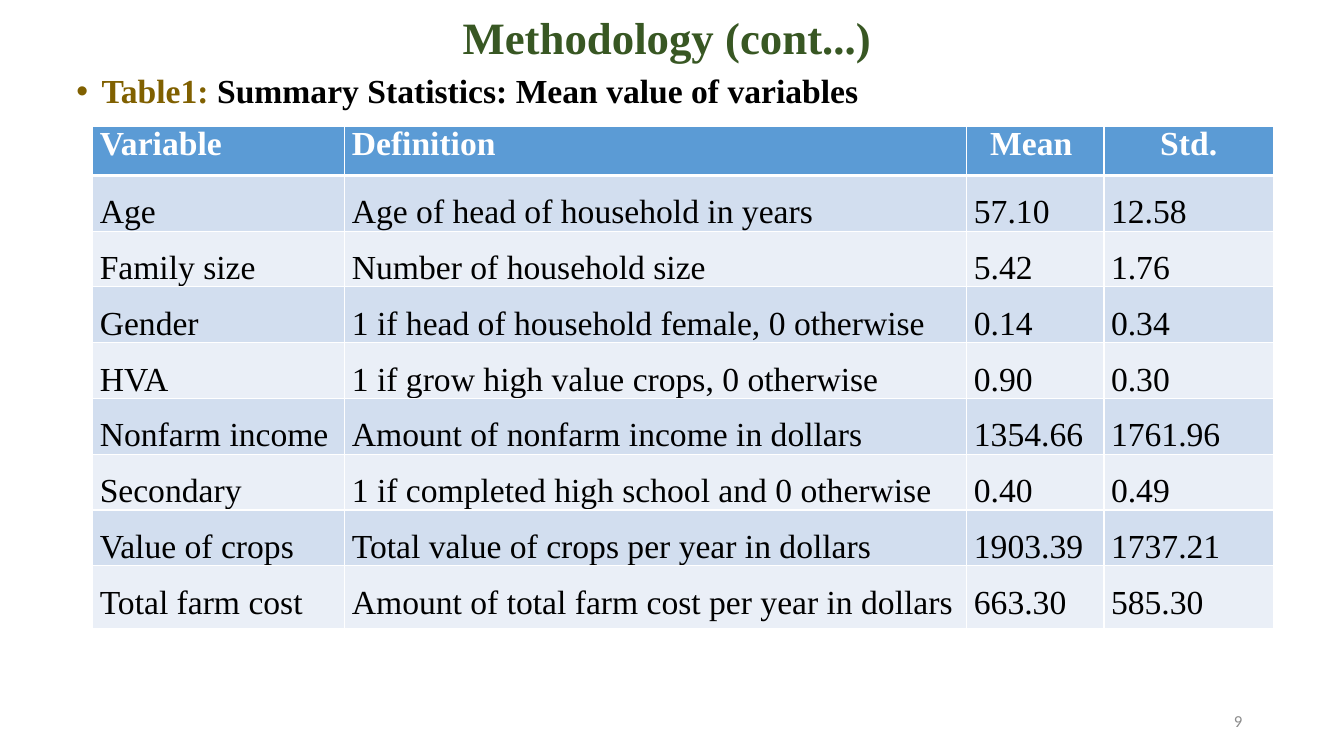
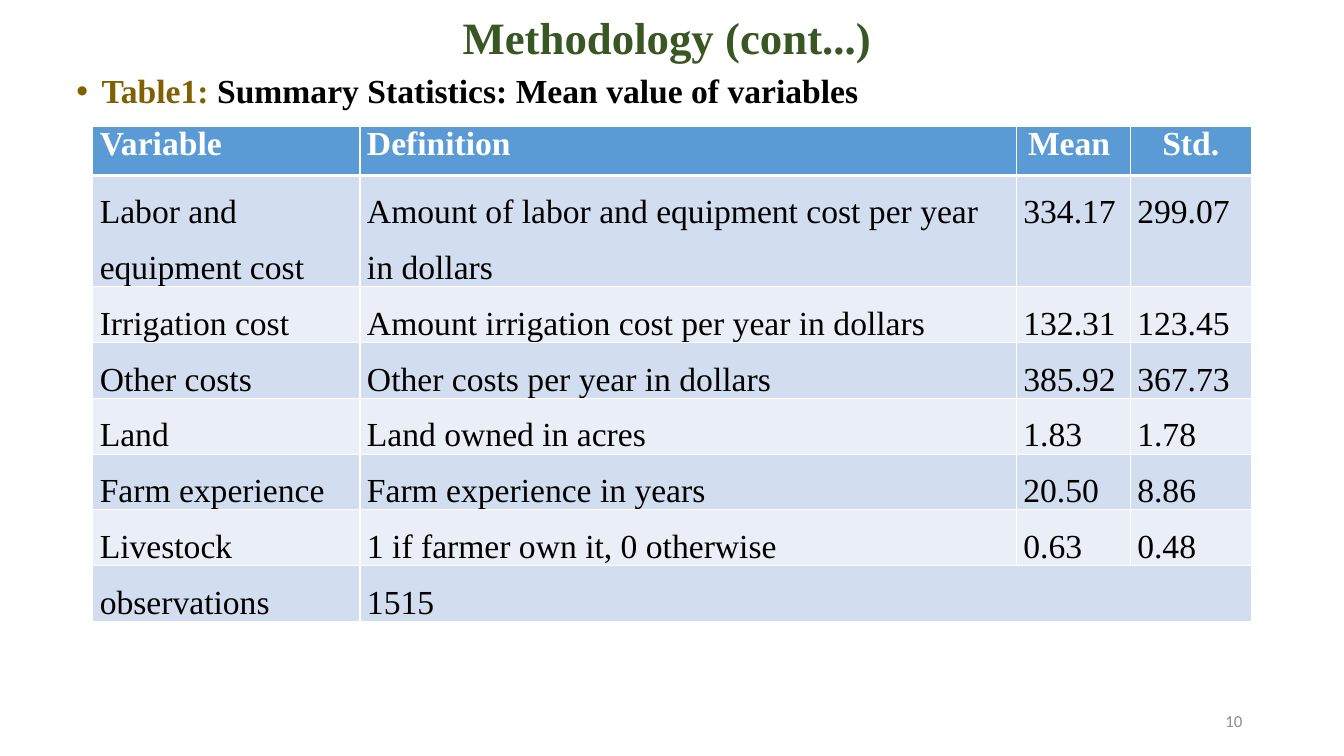
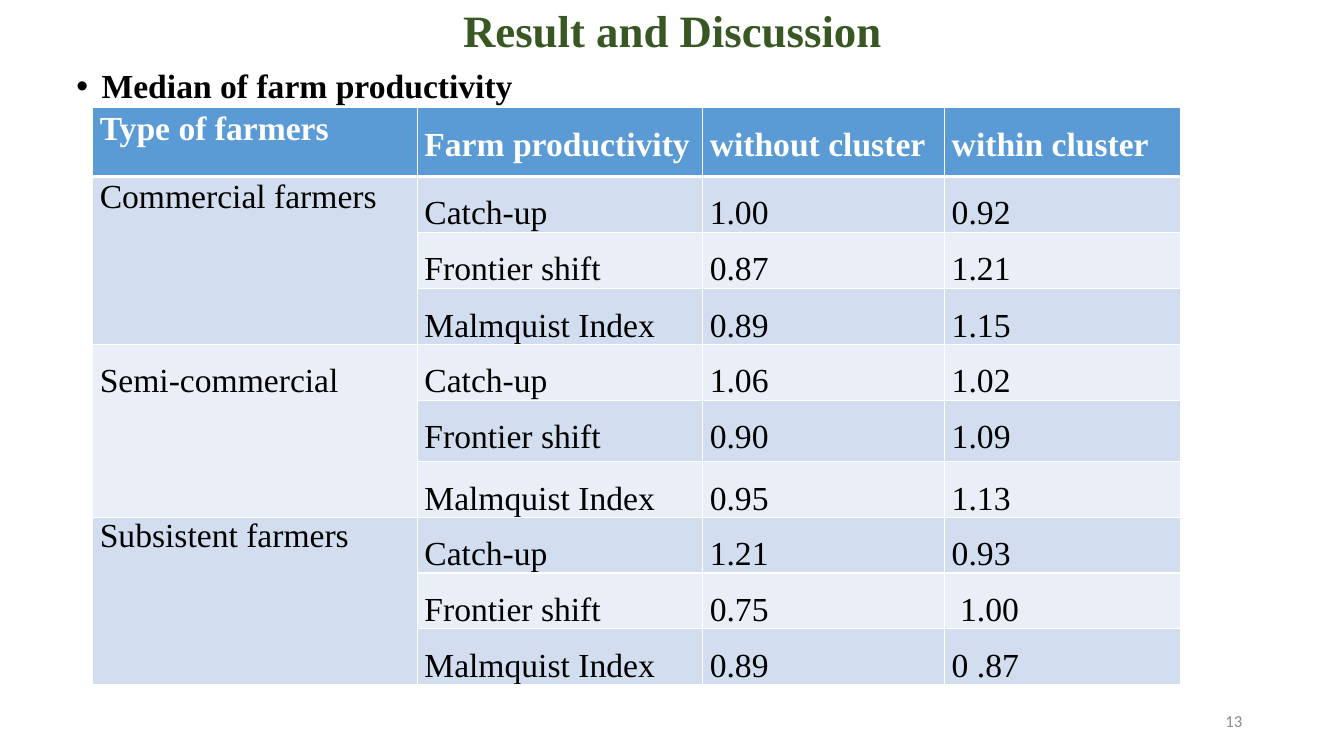
from pptx import Presentation
from pptx.dml.color import RGBColor
from pptx.enum.text import MSO_ANCHOR, MSO_AUTO_SIZE, PP_ALIGN as Align
from pptx.oxml.ns import qn
from pptx.util import Inches, Pt
from lxml.etree import SubElement

COLORS = {
    "title": "385723", "label": "806000", "text": "000000", "number": "8C8C8C",
    "white": "FFFFFF", "header": "5B9BD5", "odd_row": "D2DEEF", "even_row": "EAEFF7",
}
SERIF, SANS = "Times New Roman", "Calibri"
LEFT, ROW = 0.92, 0.55
ROW_SPACING = Pt(39.8)

SUMMARY_HEADER = ["Variable", "Definition", "Mean ", "Std."]
SUMMARY_TITLE = "Methodology (cont...) "
SUMMARY_CAPTION = [("Table1: ", "label"), ("Summary Statistics: Mean value of variables", "text")]
SUMMARY_ALIGN = [Align.JUSTIFY, Align.JUSTIFY, Align.CENTER, Align.CENTER]
SUMMARY_SPACING = {(0, column): 1.0 for column in range(4)}

# spacing: cells that differ from ROW_SPACING; merges: (top, left, bottom, right)
SLIDES = [
    {
        "title": SUMMARY_TITLE, "title_top": 0.11, "title_height": 0.57, "number": "9",
        "caption": SUMMARY_CAPTION, "caption_top": 0.69, "table_top": 1.25,
        "columns": [2.5, 6.17, 1.36, 1.68],
        "heights": [0.49] + [ROW] * 7 + [0.62],
        "header_align": SUMMARY_ALIGN, "body_align": Align.LEFT,
        "spacing": SUMMARY_SPACING,
        "merges": [],
        "rows": [
            SUMMARY_HEADER,
            ["Age", "Age of head of household in years", "57.10", "12.58"],
            ["Family size", "Number of household size", "5.42", "1.76"],
            ["Gender", "1 if head of household female, 0 otherwise", "0.14", "0.34"],
            ["HVA", "1 if grow high value crops, 0 otherwise", "0.90", "0.30"],
            ["Nonfarm income", "Amount of nonfarm income in dollars", "1354.66", "1761.96"],
            ["Secondary", "1 if completed high school and 0 otherwise", "0.40", "0.49"],
            ["Value of crops", "Total value of crops per year in dollars", "1903.39", "1737.21"],
            ["Total farm cost", "Amount of total farm cost per year in dollars", "663.30", "585.30"],
        ],
    },
    {
        "title": SUMMARY_TITLE, "title_top": 0.11, "title_height": 0.57, "number": "10",
        "caption": SUMMARY_CAPTION, "caption_top": 0.69, "table_top": 1.25,
        "columns": [2.65, 6.51, 1.13, 1.2],
        "heights": [0.49, 2 * ROW] + [ROW] * 6,
        "header_align": SUMMARY_ALIGN, "body_align": Align.LEFT,
        "spacing": SUMMARY_SPACING,
        "merges": [(7, 1, 7, 3)],
        "rows": [
            SUMMARY_HEADER,
            ["Labor and equipment cost", "Amount of labor and equipment cost per year in dollars",
             "334.17", "299.07"],
            ["Irrigation cost", "Amount irrigation cost per year in dollars", "132.31", "123.45"],
            ["Other costs", "Other costs per year in dollars", "385.92", "367.73"],
            ["Land", "Land owned in acres", "1.83", "1.78"],
            ["Farm experience", "Farm experience in years", "20.50", "8.86"],
            ["Livestock", "1 if farmer own it, 0 otherwise", "0.63", "0.48"],
            ["observations", "1515", None, None],
        ],
    },
    {
        "title": "Result and Discussion", "title_top": 0.12, "title_height": 0.42, "number": "13",
        "caption": [("Median of farm productivity", "text")],
        "caption_top": 0.64, "table_top": 1.07,
        "columns": [3.22, 2.83, 2.4, 2.34],
        "heights": [0.68, ROW, 0.56] + [ROW] * 2 + [0.61] + [ROW] * 4,
        "header_align": [Align.JUSTIFY] * 4, "body_align": Align.JUSTIFY,
        "spacing": {(0, 0): 1.07, (1, 0): 1.07, (7, 0): 1.0},
        "merges": [(top, 0, top + 2, 0) for top in (1, 4, 7)],
        "rows": [
            ["Type of farmers", "Farm productivity", "without cluster", "within cluster"],
            ["Commercial farmers", "Catch-up", "1.00", "0.92"],
            [None, "Frontier shift", "0.87", "1.21"],
            [None, "Malmquist Index", "0.89", "1.15"],
            ["Semi-commercial", "Catch-up", "1.06", "1.02"],
            [None, "Frontier shift", "0.90", "1.09"],
            [None, "Malmquist Index", "0.95", "1.13"],
            ["Subsistent farmers", "Catch-up", "1.21", "0.93"],
            [None, "Frontier shift", "0.75", " 1.00"],
            [None, "Malmquist Index", "0.89", "0 .87"],
        ],
    },
]


def rgb(name):
    """Return the named colour."""
    return RGBColor.from_string(COLORS[name])


def style_run(run, size, color, bold=False, font=SERIF):
    """Set the font of one run."""
    run.font.name, run.font.size, run.font.bold = font, Pt(size), bold
    run.font.color.rgb = rgb(color)


def add_title(slide, text, top, height):
    """Place and format the title placeholder."""
    title = slide.shapes.title
    title.left, title.top = Inches(LEFT), Inches(top)
    title.width, title.height = Inches(11.5), Inches(height)
    frame = title.text_frame
    frame.text = text
    frame.word_wrap, frame.auto_size = True, MSO_AUTO_SIZE.NONE
    frame.vertical_anchor = MSO_ANCHOR.MIDDLE
    paragraph = frame.paragraphs[0]
    paragraph.alignment, paragraph.line_spacing = Align.CENTER, 0.9
    style_run(paragraph.runs[0], 32, "title", bold=True)


def add_caption(slide, parts, top):
    """Add the bulleted line above the table."""
    box = slide.shapes.add_textbox(Inches(0.66), Inches(top), Inches(11.76), Inches(7.5 - top))
    box.text_frame.word_wrap = True
    paragraph = box.text_frame.paragraphs[0]
    paragraph.line_spacing, paragraph.space_before = 0.9, Pt(10)
    for text, color in parts:
        run = paragraph.add_run()
        run.text = text
        style_run(run, 24, color, bold=True)
    properties = paragraph._p.get_or_add_pPr()
    properties.set("marL", str(Inches(0.25)))
    properties.set("indent", str(-Inches(0.25)))
    SubElement(properties, qn("a:buFont"), typeface="Arial")
    SubElement(properties, qn("a:buChar"), char="•")


def add_slide_number(slide, number):
    """Add the page number at the lower right."""
    box = slide.shapes.add_textbox(Inches(9.42), Inches(6.95), Inches(3), Inches(0.4))
    frame = box.text_frame
    frame.text, frame.word_wrap = number, True
    frame.vertical_anchor = MSO_ANCHOR.MIDDLE
    frame.paragraphs[0].alignment = Align.RIGHT
    style_run(frame.paragraphs[0].runs[0], 12, "number", font=SANS)


def set_borders(cell, bottom_width):
    """Draw white borders, 1 pt except at the bottom."""
    properties = cell._tc.get_or_add_tcPr()
    widths = [("lnL", 1), ("lnR", 1), ("lnT", 1), ("lnB", bottom_width)]
    for position, (side, width) in enumerate(widths):
        line = SubElement(properties, qn("a:" + side), w=str(Pt(width)))
        fill = SubElement(line, qn("a:solidFill"))
        SubElement(fill, qn("a:srgbClr"), val=COLORS["white"])
        properties.insert(position, line)


def format_cell(cell, text, row, alignment, spacing):
    """Fill, border and write one table cell."""
    is_header = row == 0
    cell.margin_left = cell.margin_right = Inches(0.07)
    cell.margin_top = cell.margin_bottom = 0
    cell.fill.solid()
    cell.fill.fore_color.rgb = rgb("header" if is_header else "odd_row" if row % 2 else "even_row")
    set_borders(cell, 3 if is_header else 1)
    if text is None:
        return
    cell.text_frame.text = text
    paragraph = cell.text_frame.paragraphs[0]
    paragraph.alignment, paragraph.line_spacing = alignment, spacing
    style_run(paragraph.runs[0], 24, "white" if is_header else "text", bold=is_header)


def add_data_table(slide, content):
    """Build the table with its merged cells."""
    rows, columns, heights = content["rows"], content["columns"], content["heights"]
    table = slide.shapes.add_table(
        len(rows), len(columns), Inches(LEFT), Inches(content["table_top"]),
        Inches(sum(columns)), Inches(sum(heights))).table
    for column, width in zip(table.columns, columns):
        column.width = Inches(width)
    for table_row, height in zip(table.rows, heights):
        table_row.height = Inches(height)
    for top, left, bottom, right in content["merges"]:
        table.cell(top, left).merge(table.cell(bottom, right))
    for row, texts in enumerate(rows):
        for column, text in enumerate(texts):
            alignment = content["body_align"] if row else content["header_align"][column]
            spacing = content["spacing"].get((row, column), ROW_SPACING)
            format_cell(table.cell(row, column), text, row, alignment, spacing)


presentation = Presentation()
presentation.slide_width, presentation.slide_height = Inches(13.33), Inches(7.5)
title_only = presentation.slide_layouts[5]
for content in SLIDES:
    slide = presentation.slides.add_slide(title_only)
    add_title(slide, content["title"], content["title_top"], content["title_height"])
    add_caption(slide, content["caption"], content["caption_top"])
    add_slide_number(slide, content["number"])
    add_data_table(slide, content)
presentation.save("out.pptx")
